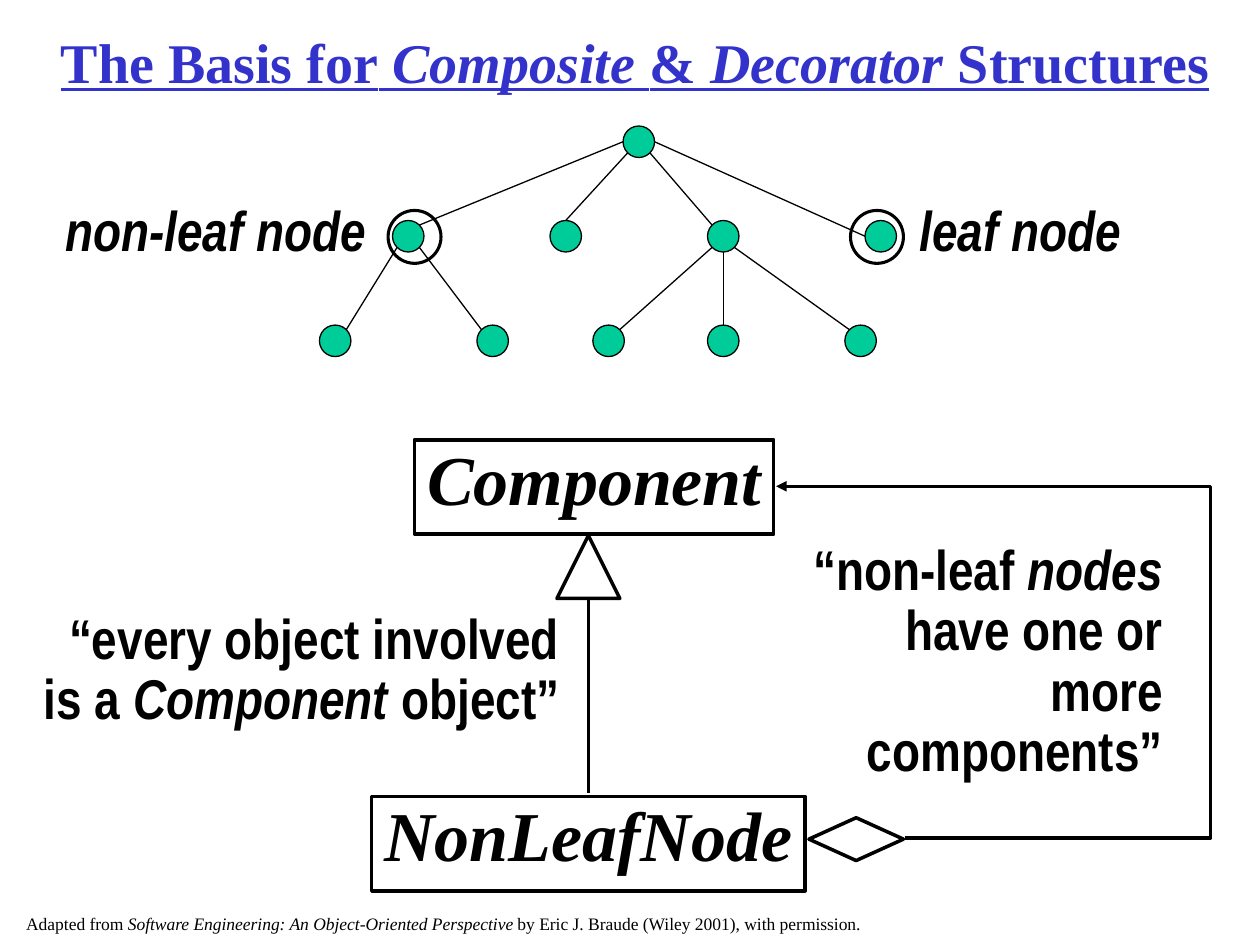
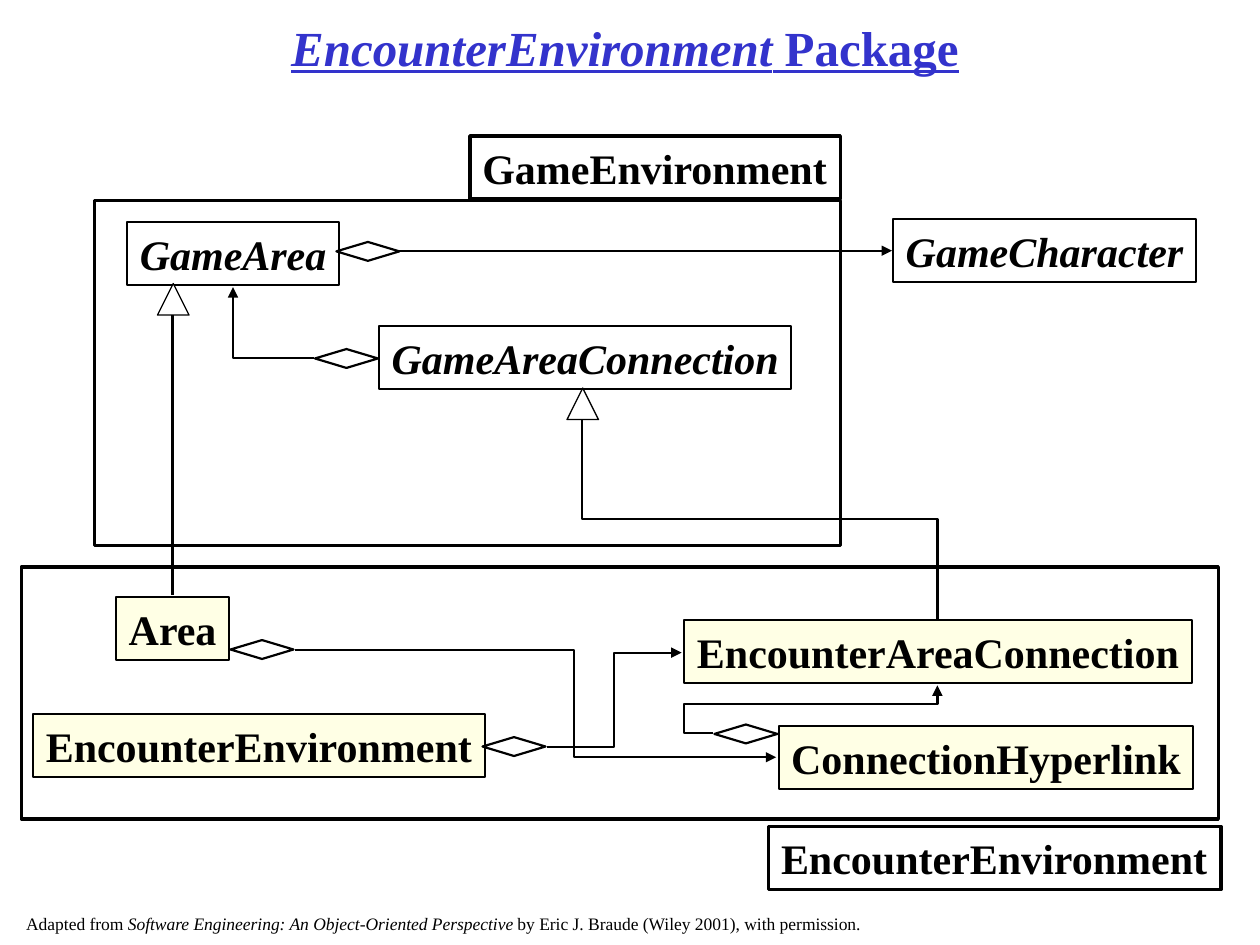
import dataclasses

import lxml.etree
import pptx
import pptx.dml.color
import pptx.enum.shapes
import pptx.enum.text
import pptx.oxml.ns
import pptx.util

Inches = pptx.util.Inches
Preset = pptx.enum.shapes.MSO_SHAPE
Connector = pptx.enum.shapes.MSO_CONNECTOR
Align = pptx.enum.text.PP_ALIGN
Anchor = pptx.enum.text.MSO_ANCHOR
AutoSize = pptx.enum.text.MSO_AUTO_SIZE
qn = pptx.oxml.ns.qn


@dataclasses.dataclass(frozen=True)
class Theme:
    serif: str = "Times New Roman"
    narrow: str = "Arial Narrow"
    ink: str = "000000"
    paper: str = "FFFFFF"
    title: str = "3333CC"
    node: str = "00CC99"
    encounter: str = "FFFFE5"
    title_size: int = 32
    small_title_size: int = 28
    concept_size: int = 40
    note_size: int = 32
    class_size: int = 24
    footer_size: int = 10
    thin: float = 0.75
    medium: float = 1.25
    ring: float = 1.75
    thick: float = 2


THEME = Theme()
SMALL_DIAMOND = (0.5, 0.15)
SMALL_TRIANGLE = (0.25, 0.25)
TITLE_ONLY = 5


def color(value):
    return pptx.dml.color.RGBColor.from_string(value)


def write(shape, text, size, font=THEME.serif, ink=THEME.ink, bold=True, underline=None,
          align=Align.LEFT, anchor=Anchor.TOP, spacing=None, wrap=False,
          margins=(0.05, 0.05), side=0.1, auto_size=AutoSize.SHAPE_TO_FIT_TEXT):
    frame = shape.text_frame
    frame.word_wrap = wrap
    frame.auto_size = auto_size
    frame.vertical_anchor = anchor
    frame.margin_left = frame.margin_right = Inches(side)
    frame.margin_top, frame.margin_bottom = map(Inches, margins)
    for index, line in enumerate(text.split("\n")):
        paragraph = frame.add_paragraph() if index else frame.paragraphs[0]
        paragraph.alignment = align
        paragraph.line_spacing = spacing
        for position, part in enumerate(line.split("*")):
            if part:
                run = paragraph.add_run()
                run.text = part
                run.font.name = font
                run.font.size = pptx.util.Pt(size)
                run.font.bold = bold
                run.font.italic = position % 2 == 1
                run.font.underline = underline
                run.font.color.rgb = color(ink)


@dataclasses.dataclass
class Region:
    slide: object
    left: float = 0
    top: float = 0

    def place(self, x, y):
        return Inches(self.left + x), Inches(self.top + y)

    def shape(self, preset, x, y, size, fill=None, line=None):
        shape = self.slide.shapes.add_shape(preset, *self.place(x, y), *map(Inches, size))
        shape.shadow.inherit = False
        if fill:
            shape.fill.solid()
            shape.fill.fore_color.rgb = color(fill)
        else:
            shape.fill.background()
        if line:
            shape.line.color.rgb = color(THEME.ink)
            shape.line.width = pptx.util.Pt(line)
        else:
            shape.line.fill.background()
        return shape

    def note(self, text, x, y, size, **options):
        box = self.slide.shapes.add_textbox(*self.place(x, y), *map(Inches, size))
        write(box, text, THEME.note_size, font=THEME.narrow, **options)

    def concept(self, name, x, y, width):
        box = self.shape(Preset.RECTANGLE, x, y, (width, 0.75), THEME.paper, THEME.thick)
        write(box, name, THEME.concept_size, align=Align.CENTER, anchor=Anchor.MIDDLE,
              spacing=0.6, margins=(0.2, 0.15), side=0.05)

    def class_box(self, name, x, y, width, fill=THEME.paper):
        box = self.shape(Preset.RECTANGLE, x, y, (width, 0.5), fill, THEME.medium)
        write(box, name, THEME.class_size, align=Align.CENTER, anchor=Anchor.MIDDLE,
              side=0.05, auto_size=AutoSize.NONE)

    def package_tab(self, name, x, y, width):
        tab = self.shape(Preset.RECTANGLE, x, y, (width, 0.5), line=THEME.thick)
        write(tab, name, THEME.class_size)

    def package_frame(self, x, y, size):
        self.shape(Preset.RECTANGLE, x, y, size, line=THEME.thick)

    def diamond(self, x, y):
        self.shape(Preset.DIAMOND, x, y, SMALL_DIAMOND, THEME.paper, THEME.medium)

    def triangle(self, x, y):
        self.shape(Preset.ISOSCELES_TRIANGLE, x, y, SMALL_TRIANGLE, THEME.paper, THEME.thin)

    def line(self, begin, end, width, arrow=False, kind=Connector.STRAIGHT):
        connector = self.slide.shapes.add_connector(kind, *self.place(*begin), *self.place(*end))
        connector.line.color.rgb = color(THEME.ink)
        connector.line.width = pptx.util.Pt(width)
        properties = connector._element.spPr
        if arrow:
            outline = properties.find(qn("a:ln"))
            lxml.etree.SubElement(outline, qn("a:tailEnd"), type="triangle")
        lxml.etree.SubElement(properties, qn("a:effectLst"))
        return connector

    def elbow(self, begin, end, width=THEME.medium, bends=(0.5,), arrow=True, vertical=False):
        if vertical:
            center_x, center_y = ((a + b) / 2 for a, b in zip(begin, end))
            begin, end = ((center_x - (y - center_y), center_y + (x - center_x))
                          for x, y in (begin, end))
        connector = self.line(begin, end, width, arrow, Connector.ELBOW)
        properties = connector._element.spPr
        if vertical:
            properties.find(qn("a:xfrm")).set("rot", str(270 * 60000))
        geometry = properties.find(qn("a:prstGeom"))
        geometry.set("prst", f"bentConnector{len(bends) + 2}")
        guides = geometry.find(qn("a:avLst"))
        for number, bend in enumerate(bends, 1):
            lxml.etree.SubElement(guides, qn("a:gd"), name=f"adj{number}",
                                  fmla=f"val {round(bend * 100000)}")


def add_slide(presentation, title, left, top, width, height, size, anchor):
    slide = presentation.slides.add_slide(presentation.slide_layouts[TITLE_ONLY])
    shape = slide.shapes.title
    shape.left, shape.top = Inches(left), Inches(top)
    shape.width, shape.height = Inches(width), Inches(height)
    write(shape, title, size, ink=THEME.title, underline=True, align=Align.CENTER,
          anchor=anchor, wrap=True, auto_size=AutoSize.NONE)
    return slide


def add_footer(region):
    footer = region.shape(Preset.RECTANGLE, 0, 0, (6.83, 0.17), THEME.paper)
    write(footer, "Adapted from *Software Engineering: An Object-Oriented Perspective *"
          "by Eric J. Braude (Wiley 2001), with permission.",
          THEME.footer_size, bold=False, margins=(0, 0))


def add_node_tree(region):
    radius = 0.125
    diagonal = radius * 0.5 ** 0.5
    sites = {
        "top": (0, -radius), "bottom": (0, radius),
        "left": (-radius, 0), "right": (radius, 0),
        "top left": (-diagonal, -diagonal), "top right": (diagonal, -diagonal),
        "bottom left": (-diagonal, diagonal), "bottom right": (diagonal, diagonal),
    }
    root = (4.65, 0.125)
    children = [(2.82 + 1.25 * column, 0.875) for column in range(4)]
    leaves = [(x, 1.705) for x in (2.24, 3.49, 4.41, 5.32, 6.41)]
    links = [
        (root, "left", children[0], "top right"),
        (root, "bottom left", children[1], "top"),
        (root, "bottom right", children[2], "top left"),
        (root, "right", children[3], "left"),
        (children[0], "bottom left", leaves[0], "top right"),
        (children[0], "bottom right", leaves[1], "top left"),
        (children[2], "bottom left", leaves[2], "top right"),
        (children[2], "bottom", leaves[3], "top"),
        (children[2], "bottom right", leaves[4], "top left"),
    ]
    for x, y in [root, *children, *leaves]:
        region.shape(Preset.OVAL, x - radius, y - radius, (2 * radius, 2 * radius),
                     THEME.node, THEME.thin)
    for parent, parent_site, child, child_site in links:
        begin, end = (tuple(map(sum, zip(center, sites[site])))
                      for center, site in ((parent, parent_site), (child, child_site)))
        region.line(begin, end, THEME.thin)
    for x in (2.66, 6.33):
        region.shape(Preset.OVAL, x, 0.67, (0.42, 0.42), line=THEME.ring)
    region.note("*non-leaf node*", 0, 0.5, (2.59, 0.64))
    region.note("*leaf node*", 6.78, 0.5, (1.8, 0.64))


def add_component_diagram(region):
    region.concept("*Component*", 3.04, 0, 2.85)
    region.concept("*NonLeafNode*", 2.7, 2.83, 3.44)
    region.shape(Preset.ISOSCELES_TRIANGLE, 4.17, 0.76, (0.5, 0.5), THEME.paper, THEME.thick)
    region.shape(Preset.DIAMOND, 6.17, 3, (0.75, 0.34), line=THEME.thick)
    region.line((4.42, 2.8), (4.42, 1.27), THEME.thick)
    region.elbow((6.93, 3.16), (5.91, 0.37), THEME.thick, bends=(-2.38,))
    region.note("“every object involved\nis a *Component* object”", -0.1, 1.31, (4.39, 1.06),
                align=Align.RIGHT, spacing=0.9, wrap=True)
    region.note("“non-leaf *nodes* have one or more components”", 6, 0.76, (3.08, 2.02),
                align=Align.RIGHT, spacing=0.9, wrap=True)


def add_game_package(region):
    region.package_frame(0, 0.51, (5.92, 2.74))
    region.package_tab("GameEnvironment", 2.98, 0, 2.94)
    region.class_box("*GameArea*", 0.26, 0.68, 1.68)
    region.class_box("*GameAreaConnection*", 2.26, 1.51, 3.27)
    region.diamond(1.92, 0.84)
    region.diamond(1.75, 1.69)
    region.triangle(0.5, 1.17)
    region.triangle(3.75, 2)
    region.elbow((1.74, 1.76), (1.1, 1.2), bends=())


def add_encounter_package(region):
    region.package_frame(0, 0, (9.5, 2))
    region.package_tab("EncounterEnvironment", 5.93, 2.06, 3.59)
    for name, x, y, width in (
        ("Area", 0.75, 0.24, 0.9),
        ("EncounterEnvironment", 0.09, 1.17, 3.59),
        ("EncounterAreaConnection", 5.26, 0.42, 4.03),
        ("ConnectionHyperlink", 6.01, 1.26, 3.29),
    ):
        region.class_box(name, x, y, width, THEME.encounter)
    for x, y in ((1.66, 0.58), (3.66, 1.35), (5.5, 1.25)):
        region.diamond(x, y)
    region.elbow((2.17, 0.66), (5.99, 1.51), bends=(0.58,))
    region.elbow((4.17, 1.43), (5.24, 0.68))
    region.elbow((5.49, 1.32), (7.27, 0.94), bends=(-0.13, 0.61))


def add_package_links(region):
    region.class_box("*GameCharacter*", 7.09, 1.74, 2.4)
    region.line((3.17, 1.99), (7.08, 1.99), THEME.medium, arrow=True)
    region.line((1.37, 2.5), (1.37, 4.72), THEME.medium)
    region.elbow((4.62, 3.33), (7.44, 4.91), arrow=False, vertical=True)


def build_structure_slide(presentation):
    slide = add_slide(presentation, "The Basis for* Composite *&* Decorator* Structures",
                      0.08, 0.17, 9.92, 0.71, THEME.title_size, Anchor.TOP)
    add_component_diagram(Region(slide, 0.25, 3.49))
    add_node_tree(Region(slide, 0.42, 1))
    add_footer(Region(slide, 0.11, 7.25))


def build_package_slide(presentation):
    slide = add_slide(presentation, "*EncounterEnvironment* Package",
                      0, 0.08, 9.92, 0.58, THEME.small_title_size, Anchor.MIDDLE)
    add_game_package(Region(slide, 0.75, 1.08))
    add_encounter_package(Region(slide, 0.17, 4.5))
    add_package_links(Region(slide))
    add_footer(Region(slide, 0.11, 7.25))


def main():
    presentation = pptx.Presentation()
    presentation.slide_width = Inches(10)
    presentation.slide_height = Inches(7.5)
    build_structure_slide(presentation)
    build_package_slide(presentation)
    presentation.save("out.pptx")


if __name__ == "__main__":
    main()
